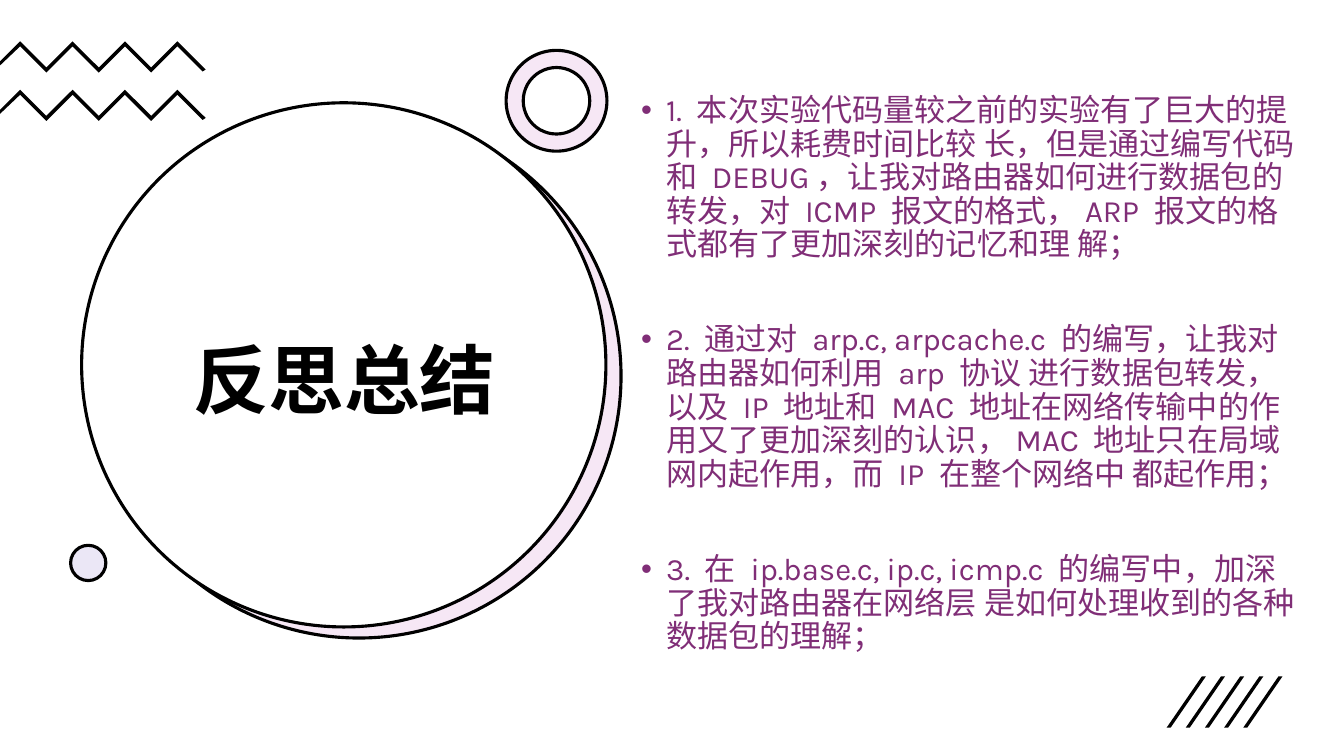
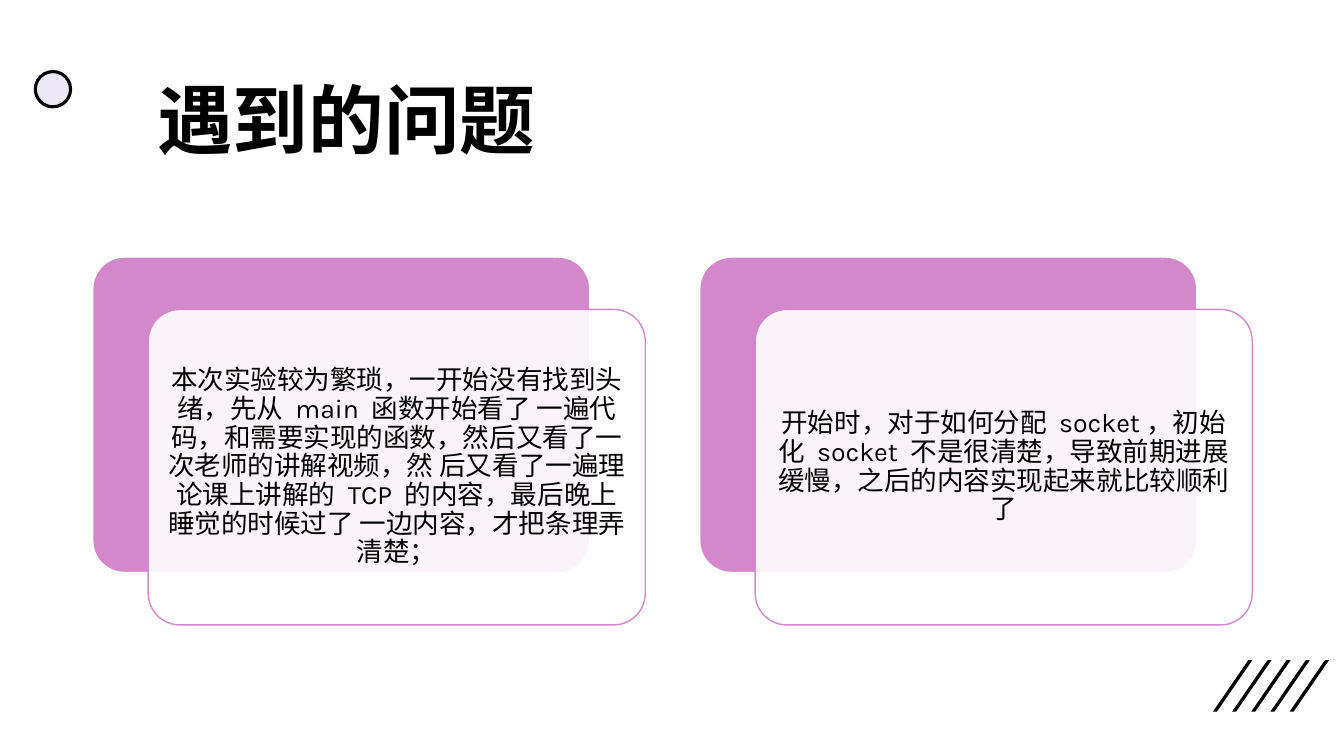
from dataclasses import dataclass

import pptx
import pptx.util
import pptx.dml.color
import pptx.enum.lang
import pptx.enum.shapes
import pptx.enum.text
import pptx.oxml
import pptx.oxml.ns

Inches, Pt = pptx.util.Inches, pptx.util.Pt
RGB = pptx.dml.color.RGBColor.from_string
SHAPE = pptx.enum.shapes.MSO_SHAPE
ALIGN = pptx.enum.text.PP_ALIGN
ANCHOR = pptx.enum.text.MSO_ANCHOR
CHINESE = pptx.enum.lang.MSO_LANGUAGE_ID.SIMPLIFIED_CHINESE


@dataclass(frozen=True)
class Theme:
    font: str = "Karla"
    ink: str = "000000"
    paper: str = "FFFFFF"
    orchid: str = "D488CC"
    pink_tint: str = "F6E7F5"
    violet_tint: str = "EBE7F6"
    plum: str = "802E77"
    title_size: float = 54
    body_size: float = 22.2
    card_size: float = 19
    outline: float = 2.25
    hairline: float = 1


def put_text(frame, paragraphs, *, size, color, font, bold=False, align=ALIGN.LEFT,
             anchor=ANCHOR.TOP, gap=0, bullet=None, inset=None):
    """Fill a text frame with paragraphs in one format."""
    frame.word_wrap = True
    frame.auto_size = pptx.enum.text.MSO_AUTO_SIZE.NONE
    frame.vertical_anchor = anchor
    if inset is not None:
        frame.margin_left = frame.margin_right = Inches(inset)
        frame.margin_top = frame.margin_bottom = Inches(inset)
    for index, text in enumerate(paragraphs):
        paragraph = frame.add_paragraph() if index else frame.paragraphs[0]
        if bullet:
            properties = paragraph._p.get_or_add_pPr()
            properties.set("marL", str(Inches(0.25)))
            properties.set("indent", str(-Inches(0.25)))
            for tag, key, value in (("buFont", "typeface", "Arial"), ("buChar", "char", bullet)):
                mark = pptx.oxml.parse_xml(f'<a:{tag} {pptx.oxml.ns.nsdecls("a")}/>')
                mark.set(key, value)
                properties.append(mark)
        paragraph.alignment = align
        paragraph.line_spacing = 0.9
        if index:
            paragraph.space_before = Pt(gap)
        run = paragraph.add_run()
        run.text = text
        run.font.name, run.font.size, run.font.bold = font, Pt(size), bold
        run.font.color.rgb = RGB(color)
        run.font.language_id = CHINESE


class Deck:
    def __init__(self, theme):
        self.theme = theme
        self.presentation = pptx.Presentation()
        self.presentation.slide_width = Inches(13.33)
        self.presentation.slide_height = Inches(7.5)
        self.slide = None

    def new_slide(self):
        self.slide = self.presentation.slides.add_slide(self.presentation.slide_layouts[5])

    def title(self, text, box, align=ALIGN.LEFT):
        heading = self.slide.shapes.title
        heading.left, heading.top, heading.width, heading.height = map(Inches, box)
        # Bring the title above the shapes drawn so far
        self.slide.shapes._spTree.append(heading._element)
        put_text(heading.text_frame, [text], size=self.theme.title_size, color=self.theme.ink,
                 font=self.theme.font, bold=True, align=align, anchor=ANCHOR.MIDDLE)

    def body(self, paragraphs, box):
        notes = self.slide.shapes.add_textbox(*map(Inches, box))
        put_text(notes.text_frame, paragraphs, size=self.theme.body_size, color=self.theme.plum,
                 font=self.theme.font, gap=44, bullet="•")

    def paint(self, shape, fill, line=None, weight=None, alpha=None):
        shape.shadow.inherit = False
        shape.fill.solid()
        shape.fill.fore_color.rgb = RGB(fill)
        if alpha is not None:
            color = shape._element.spPr.find(".//" + pptx.oxml.ns.qn("a:srgbClr"))
            color.append(pptx.oxml.parse_xml(
                f'<a:alpha {pptx.oxml.ns.nsdecls("a")} val="{alpha * 1000}"/>'))
        if line:
            shape.line.color.rgb = RGB(line)
            shape.line.width = Pt(weight or self.theme.outline)
        else:
            shape.line.fill.background()

    def preset(self, kind, box, fill, line, weight=None, adjust=None, alpha=None):
        shape = self.slide.shapes.add_shape(kind, *map(Inches, box))
        if adjust is not None:
            shape.adjustments[0] = adjust
        self.paint(shape, fill, line, weight, alpha)
        return shape

    def circle(self, left, top, size, fill):
        self.preset(SHAPE.OVAL, (left, top, size, size), fill, self.theme.ink)

    def ring(self, left, top, size):
        self.preset(SHAPE.DONUT, (left, top, size, size), self.theme.pink_tint,
                    self.theme.ink, adjust=0.17)

    def dot(self, left, top):
        self.circle(left, top, 0.35, self.theme.violet_tint)

    def polygon(self, points):
        first, *rest = [(Inches(x), Inches(y)) for x, y in points]
        outline = self.slide.shapes.build_freeform(*first)
        outline.add_line_segments(rest, close=True)
        self.paint(outline.convert_to_shape(), self.theme.ink)

    def slashes(self, left, top):
        for step in range(5):
            x = left + step * 0.19
            self.polygon([(x + 0.04, top + 0.51), (x, top + 0.51),
                          (x + 0.35, top), (x + 0.39, top)])

    def zigzag(self, top):
        upper = [(0.2 + 0.26 * i, top + 0.26 * (i % 2)) for i in range(7)]
        lower = [(x, y + 0.05) for x, y in reversed(upper)]
        self.polygon([(0, top + 0.2), *upper, (2.04, top + 0.28),
                      (2.01, top + 0.3), *lower, (0, top + 0.24)])

    def card(self, left, top, text):
        size = (4.93, 3.13)
        self.preset(SHAPE.ROUNDED_RECTANGLE, (left, top, *size), self.theme.orchid,
                    self.theme.paper, self.theme.hairline, adjust=0.1)
        front = self.preset(SHAPE.ROUNDED_RECTANGLE, (left + 0.55, top + 0.52, *size),
                            self.theme.paper, self.theme.orchid, self.theme.hairline,
                            adjust=0.1, alpha=90)
        put_text(front.text_frame, [text], size=self.theme.card_size, color=self.theme.ink,
                 font=self.theme.font, align=ALIGN.CENTER, anchor=ANCHOR.MIDDLE, inset=0.08)


REFLECTIONS = [
    "1. 本次实验代码量较之前的实验有了巨大的提升，所以耗费时间比较 长，但是通过编写代码和 DEBUG，"
    "让我对路由器如何进行数据包的转发，对 ICMP 报文的格式，ARP 报文的格式都有了更加深刻的记忆和理 解；",
    "2. 通过对 arp.c, arpcache.c 的编写，让我对路由器如何利用 arp 协议 进行数据包转发，"
    "以及 IP 地址和 MAC 地址在网络传输中的作用又了更加深刻的认识，"
    "MAC 地址只在局域网内起作用，而 IP 在整个网络中 都起作用；",
    "3. 在 ip.base.c, ip.c, icmp.c 的编写中，加深了我对路由器在网络层 是如何处理收到的各种数据包的理解；",
]
PROBLEMS = [
    "本次实验较为繁琐，一开始没有找到头绪，先从 main 函数开始看了 一遍代码，和需要实现的函数，"
    "然后又看了一次老师的讲解视频，然 后又看了一遍理论课上讲解的 TCP 的内容，"
    "最后晚上睡觉的时候过了 一边内容，才把条理弄清楚；",
    "开始时，对于如何分配 socket，初始化 socket 不是很清楚，导致前期进展缓慢，之后的内容实现起来就比较顺利了",
]


def main():
    theme = Theme()
    deck = Deck(theme)

    # Reflection: large circle with title, ornaments, numbered notes
    deck.new_slide()
    deck.circle(0.96, 1.13, 5.2, theme.pink_tint)
    deck.circle(0.81, 1.02, 5.2, theme.paper)
    deck.title("反思总结", (1.21, 2.05, 4.41, 3.52), ALIGN.CENTER)
    for top in (0.41, 0.89):
        deck.zigzag(top)
    deck.ring(5.02, 0.5, 1)
    deck.dot(0.7, 5.41)
    deck.body(REFLECTIONS, (6.26, 0.89, 6.73, 5.67))
    deck.slashes(11.57, 6.71)

    # Problems: title and two layered cards
    deck.new_slide()
    deck.slashes(12.03, 6.55)
    deck.dot(0.35, 0.71)
    deck.title("遇到的问题", (1.46, 0.62, 10.66, 1.23))
    for column, problem in enumerate(PROBLEMS):
        deck.card(0.92 + column * 6.02, 2.55, problem)

    deck.presentation.save("out.pptx")


if __name__ == "__main__":
    main()
